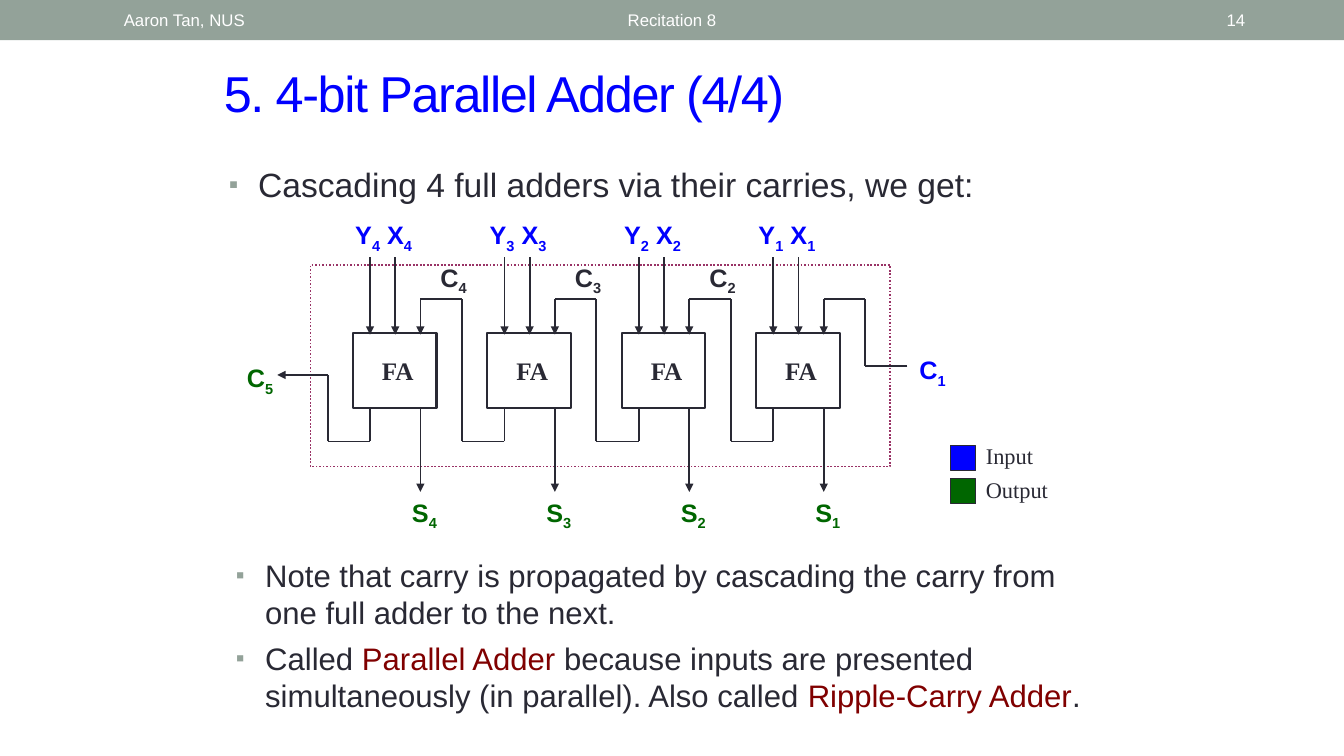
from lxml import etree
from pptx import Presentation
from pptx.dml.color import RGBColor
from pptx.enum.dml import MSO_LINE
from pptx.enum.shapes import MSO_CONNECTOR, MSO_SHAPE
from pptx.enum.text import MSO_ANCHOR, MSO_AUTO_SIZE, PP_ALIGN
from pptx.oxml.ns import qn
from pptx.util import Inches, Pt

RECT = MSO_SHAPE.RECTANGLE
STRAIGHT = MSO_CONNECTOR.STRAIGHT
DOTTED = MSO_LINE.ROUND_DOT
LEFT, CENTER, RIGHT = PP_ALIGN.LEFT, PP_ALIGN.CENTER, PP_ALIGN.RIGHT
TOP, MIDDLE = MSO_ANCHOR.TOP, MSO_ANCHOR.MIDDLE
FIXED = MSO_AUTO_SIZE.NONE

COLORS = {
    "band": "93A299", "ink": "292934", "input": "0000FF", "output": "006600",
    "term": "800000", "frame": "993366", "white": "FFFFFF",
}
SANS, SERIF = "Arial", "Times New Roman"
PITCH = 4 / 3
FIRST = 3.5
SUB = {"baseline": -25000}
TERM = {"color": "term"}


def rgb(name):
    return RGBColor.from_string(COLORS[name])


def place(shape, box):
    shape.left, shape.top, shape.width, shape.height = map(Inches, box)


def add_bullet(para):
    """Give the paragraph a square bullet and a hanging indent."""
    props = para._p.get_or_add_pPr()
    props.set("marL", str(Inches(0.29)))
    props.set("indent", str(-Inches(0.29)))
    tint = etree.SubElement(props, qn("a:buClr"))
    etree.SubElement(tint, qn("a:srgbClr"), val=COLORS["band"])
    etree.SubElement(props, qn("a:buSzPct"), val="80000")
    etree.SubElement(props, qn("a:buFont"), typeface=SANS)
    etree.SubElement(props, qn("a:buChar"), char="▪")


def write(shape, *paras, size=18, color="ink", font=SANS, bold=False,
          align=LEFT, anchor=TOP, bullet=False, gap=0, spacing=None):
    """Fill a shape; each paragraph is a list of strings or (string, changes)."""
    frame = shape.text_frame
    frame.word_wrap = True
    frame.auto_size = FIXED
    frame.vertical_anchor = anchor
    for i, runs in enumerate(paras):
        para = frame.add_paragraph() if i else frame.paragraphs[0]
        if bullet:
            add_bullet(para)
        para.alignment = align
        para.space_before = Pt(gap if i else 0)
        for item in runs:
            text, change = (item, {}) if isinstance(item, str) else item
            run = para.add_run()
            run.text = text
            run.font.name = font
            run.font.size = Pt(size)
            run.font.bold = bold
            run.font.color.rgb = rgb(change.get("color", color))
            props = run._r.get_or_add_rPr()
            if "baseline" in change:
                props.set("baseline", str(change["baseline"]))
            if spacing is not None:
                props.set("spc", str(spacing))


def add_label(slide, box, *runs, **style):
    shape = slide.shapes.add_textbox(*map(Inches, box))
    write(shape, runs, **style)


def add_box(slide, box, fill=None, line=None, width=1.5, dash=None):
    shape = slide.shapes.add_shape(RECT, *map(Inches, box))
    shape.shadow.inherit = False
    if fill:
        shape.fill.solid()
        shape.fill.fore_color.rgb = rgb(fill)
    else:
        shape.fill.background()
    if line:
        shape.line.color.rgb = rgb(line)
        shape.line.width = Pt(width)
        if dash:
            shape.line.dash_style = dash
    else:
        shape.line.fill.background()


def add_wire(slide, *points, arrow=True):
    """Join the points with straight lines, the last one with an arrowhead."""
    for start, end in zip(points, points[1:]):
        wire = slide.shapes.add_connector(STRAIGHT, *map(Inches, start + end))
        wire.line.color.rgb = rgb("ink")
        wire.line.width = Pt(1.25)
        if arrow and end == points[-1]:
            etree.SubElement(wire.line._get_or_add_ln(), qn("a:tailEnd"),
                             type="triangle")
        etree.SubElement(wire._element.spPr, qn("a:effectLst"))


def add_stage(slide, x, bit):
    """Draw one full adder with its inputs, sum and carry-in."""
    n = (str(bit), SUB)
    style = {"bold": True, "align": CENTER}
    add_box(slide, (x, 3.3, 0.83, 0.75), line="ink")
    add_label(slide, (x + 0.11, 3.48, 0.67, 0.4), "FA", font=SERIF, **style)
    add_label(slide, (x - 0.17, 2.13, 0.95, 0.4), "Y", n, " X", n,
              color="input", **style)
    add_label(slide, (x + 0.42, 4.88, 0.58, 0.4), "S", n,
              color="output", **style)
    for dx in (0.17, 0.42):
        add_wire(slide, (x + dx, 2.55), (x + dx, 3.32))
    port, turn, prior = x + 0.67, x + 1.08, x + PITCH + 0.17
    add_wire(slide, (port, 4.05), (port, 4.88))
    if bit == 1:
        source = [(9, 3.63), (turn, 3.63)]
        spot, color = (9, 3.47), "input"
    else:
        source = [(prior, 4.05), (prior, 4.38), (turn, 4.38)]
        spot, color = (x + 0.75, 2.55), "ink"
    add_wire(slide, *source, (turn, 2.97), (port, 2.97), (port, 3.32))
    add_label(slide, (*spot, 0.5, 0.4), "C", n, color=color, **style)


def add_adder(slide):
    add_box(slide, (3.08, 2.63, 5.75, 2), line="frame", width=1.25, dash=DOTTED)
    for i in range(4):
        add_stage(slide, FIRST + i * PITCH, 4 - i)
    add_wire(slide, (3.67, 4.05), (3.67, 4.38), (3.25, 4.38),
             (3.25, 3.72), (2.75, 3.72))
    add_label(slide, (2.33, 3.55, 0.5, 0.4), "C", ("5", SUB),
              color="output", bold=True, align=CENTER)


def add_legend(slide):
    for i, name in enumerate(("Input", "Output")):
        y = 4.42 + i * 0.33
        add_box(slide, (9.43, y, 0.25, 0.25), name.lower(), "ink", 0.75)
        add_label(slide, (9.68, y - 0.08, 1, 0.37), name, size=16, font=SERIF)


def add_header(slide):
    add_box(slide, (0, 0, 13.33, 0.4), "band")
    for text, x, width, align in (("Recitation 8", 3.02, 7.29, CENTER),
                                  ("Aaron Tan, NUS", 1.13, 3.17, LEFT),
                                  ("14", 11.5, 0.95, RIGHT)):
        add_label(slide, (x, 0.02, width, 0.36), text, size=12,
                  color="white", align=align, anchor=MIDDLE)


def main():
    deck = Presentation()
    deck.slide_width, deck.slide_height = Inches(13.33), Inches(7.5)
    slide = deck.slides.add_slide(deck.slide_layouts[3])
    title, intro, notes = slide.placeholders
    place(title, (2.12, 0.57, 9.21, 0.7))
    write(title, ["5. 4-bit Parallel Adder (4/4)"], size=36, color="input",
          anchor=MIDDLE, spacing=-100)
    place(intro, (2.17, 1.58, 8.83, 0.63))
    write(intro, ["Cascading 4 full adders via their carries, we get:"],
          size=24, bullet=True)
    place(notes, (2.24, 5.47, 8.83, 1.68))
    write(notes,
          ["Note that carry is propagated by cascading the carry from "
           "one full adder to the next."],
          ["Called ", ("Parallel Adder", TERM),
           " because inputs are presented simultaneously (in parallel). "
           "Also called ", ("Ripple-Carry Adder", TERM), "."],
          size=22.2, bullet=True, gap=6)
    add_header(slide)
    add_adder(slide)
    add_legend(slide)
    deck.save("out.pptx")


if __name__ == "__main__":
    main()
